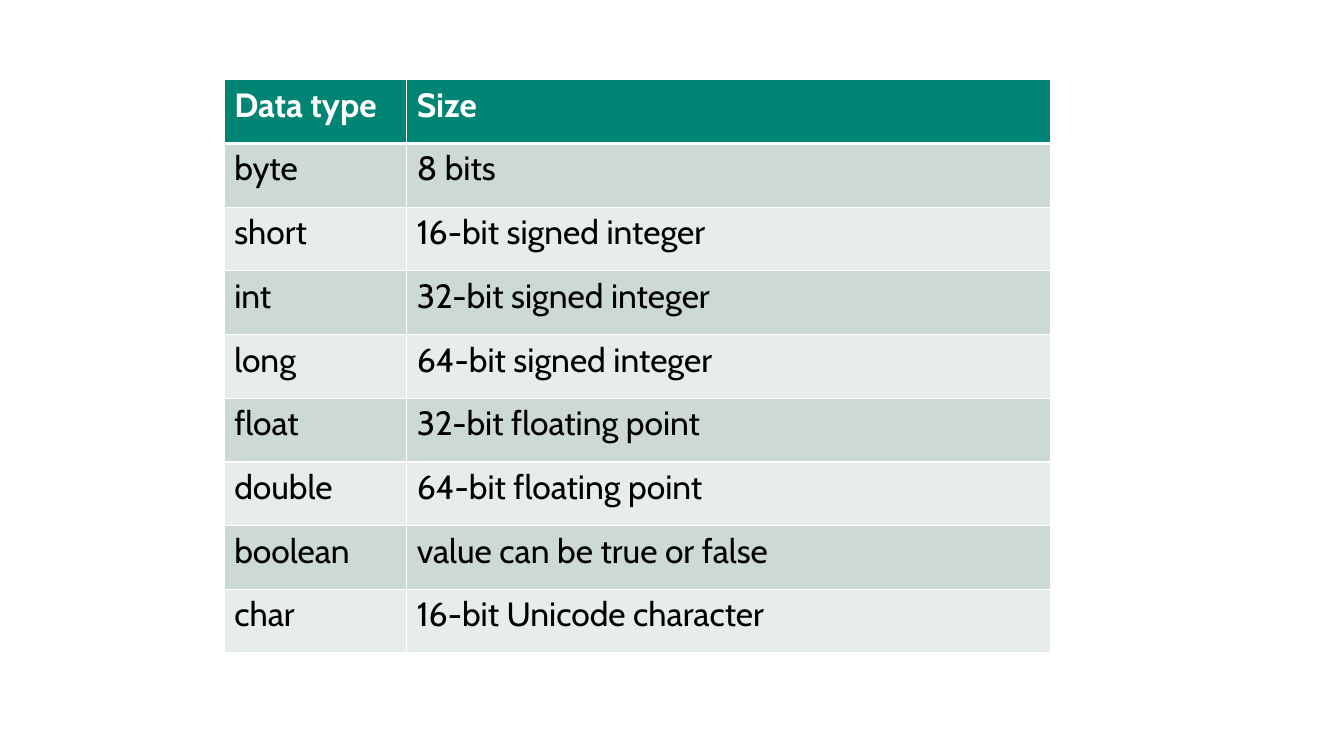
import pptx
import pptx.dml.color
import pptx.oxml.ns
import pptx.util
import lxml.etree

Cm = pptx.util.Cm
Pt = pptx.util.Pt
qn = pptx.oxml.ns.qn

COLORS = {
    "header": "008575",
    "dark band": "CCD9D6",
    "light band": "E7EDEC",
    "white": "FFFFFF",
    "black": "000000",
}
ROWS = [
    ("Data type", "Size"),
    ("byte", "8 bits"),
    ("short", "16-bit signed integer"),
    ("int", "32-bit signed integer"),
    ("long", "64-bit signed integer"),
    ("float", "32-bit floating point"),
    ("double", "64-bit floating point"),
    ("boolean", "value can be true or false"),
    ("char", "16-bit Unicode character"),
]
COLUMN_WIDTHS = [Cm(4.6), Cm(16.23)]
ROW_HEIGHT = Cm(1.605)


def color(name):
    return pptx.dml.color.RGBColor.from_string(COLORS[name])


def add_border(cell, side, points):
    properties = cell._tc.get_or_add_tcPr()
    line = lxml.etree.SubElement(properties, qn(f"a:ln{side}"), w=str(Pt(points)))
    fill = lxml.etree.SubElement(line, qn("a:solidFill"))
    lxml.etree.SubElement(fill, qn("a:srgbClr"), val=COLORS["white"])


deck = pptx.Presentation()
deck.slide_width = Cm(33.87)
deck.slide_height = Cm(19.05)
page = deck.slides.add_slide(deck.slide_layouts[6])

table = page.shapes.add_table(
    len(ROWS), len(COLUMN_WIDTHS), Cm(5.65), Cm(2.01),
    sum(COLUMN_WIDTHS), ROW_HEIGHT * len(ROWS),
).table
for column, width in zip(table.columns, COLUMN_WIDTHS):
    column.width = width

for row_index, texts in enumerate(ROWS):
    table.rows[row_index].height = ROW_HEIGHT
    is_header = row_index == 0
    if is_header:
        fill_name = "header"
    else:
        fill_name = "dark band" if row_index % 2 else "light band"
    for column_index, text in enumerate(texts):
        cell = table.cell(row_index, column_index)
        add_border(cell, "L", 1)
        add_border(cell, "R", 1)
        add_border(cell, "T", 3 if row_index == 1 else 1)
        add_border(cell, "B", 3 if is_header else 1)
        cell.fill.solid()
        cell.fill.fore_color.rgb = color(fill_name)
        cell.text = text
        font = cell.text_frame.paragraphs[0].font
        font.name = "Cabin"
        font.size = Pt(24)
        font.bold = is_header
        font.color.rgb = color("white" if is_header else "black")

deck.save("out.pptx")
